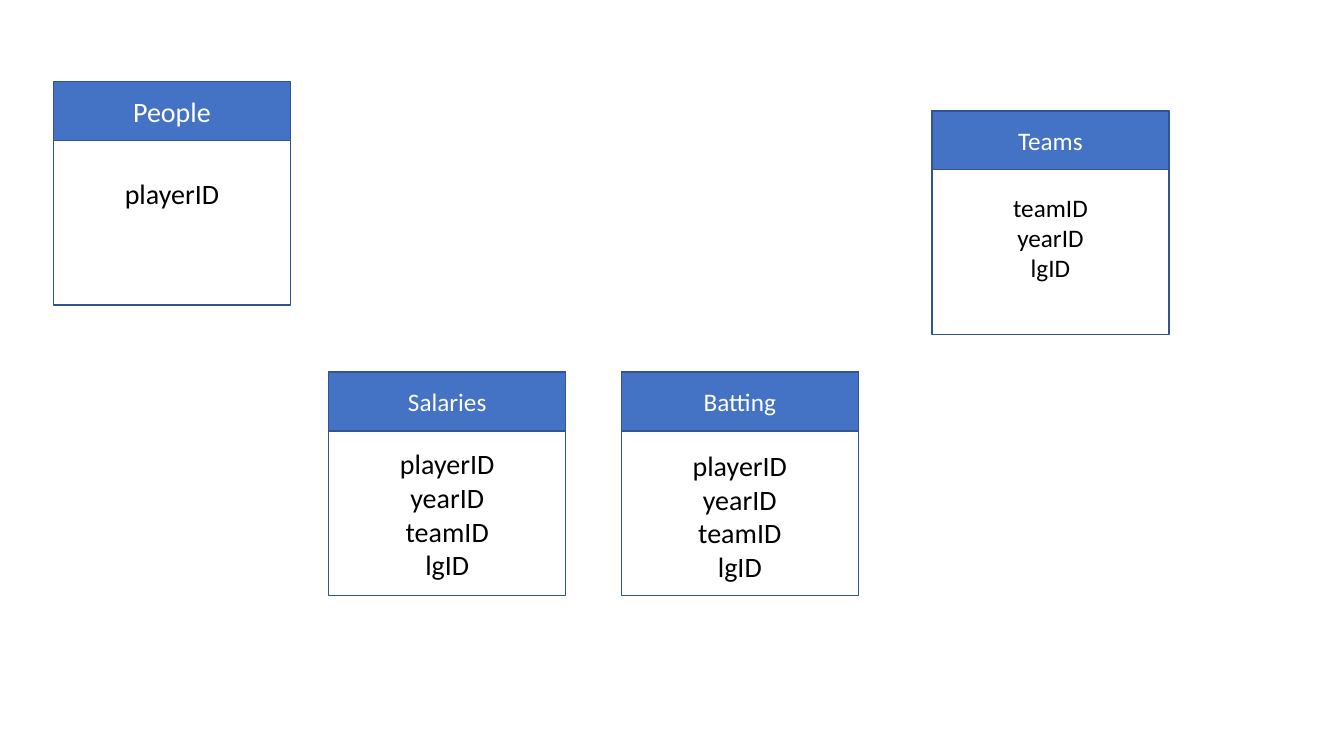
"""Build a slide of four database tables with their key columns."""
from pptx import Presentation
from pptx.dml.color import RGBColor
from pptx.enum.shapes import MSO_SHAPE
from pptx.enum.text import MSO_ANCHOR, PP_ALIGN
from pptx.util import Pt

TABLE_WIDTH, TABLE_HEIGHT, HEADER_HEIGHT = 169.3, 159.7, 42


def color(value):
    return RGBColor.from_string(value)


def add_box(group, left, top, height, text, size, text_color, fill=None, inset=3.6):
    box = group.shapes.add_shape(
        MSO_SHAPE.RECTANGLE, Pt(left), Pt(top), Pt(TABLE_WIDTH), Pt(height))
    box.shadow.inherit = False
    box.line.color.rgb = color("325491")
    box.line.width = Pt(1)
    if fill:
        box.fill.solid()
        box.fill.fore_color.rgb = color(fill)
    else:
        box.fill.background()
    frame = box.text_frame
    frame.word_wrap = True
    frame.vertical_anchor = MSO_ANCHOR.MIDDLE
    frame.margin_top = Pt(inset)
    frame.text = text
    for para in frame.paragraphs:
        para.alignment = PP_ALIGN.CENTER
        for span in para.runs:
            span.font.name = "Calibri"
            span.font.size = Pt(size)
            span.font.color.rgb = color(text_color)


deck = Presentation()
deck.slide_width = Pt(960)
deck.slide_height = Pt(540)
page = deck.slides.add_slide(deck.slide_layouts[6])

stat_columns = ["playerID", "yearID", "teamID", "lgID"]
tables = [
    ("People", 38.2, 58.3, 20, ["playerID"], 20, 3.6),
    ("Teams", 665.7, 79.2, 18, ["teamID", "yearID", "lgID"], 18, 25),
    ("Batting", 443.8, 265.8, 18, stat_columns, 20, 49),
    ("Salaries", 234.8, 265.8, 18, stat_columns, 20, 46.6),
]
for name, left, top, name_size, columns, column_size, inset in tables:
    group = page.shapes.add_group_shape()
    add_box(group, left, top, TABLE_HEIGHT, "\n".join(columns), column_size,
            "000000", inset=inset)
    add_box(group, left, top, HEADER_HEIGHT, name, name_size, "FFFFFF", fill="4472C4")

deck.save("out.pptx")
